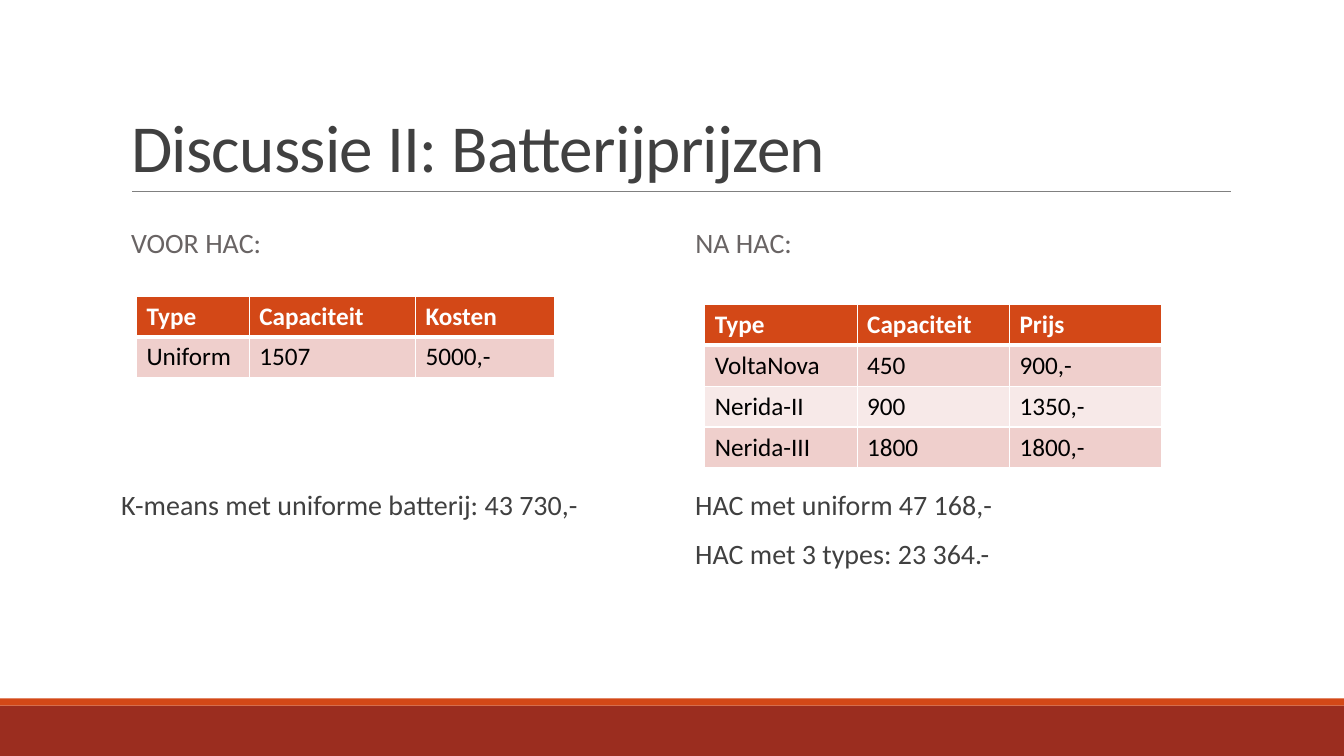
from dataclasses import dataclass

from lxml import etree
from pptx import Presentation
from pptx.dml.color import RGBColor
from pptx.enum import shapes, text
from pptx.oxml import parse_xml
from pptx.oxml.ns import nsdecls, qn
from pptx.util import Cm, Pt


@dataclass(frozen=True)
class Theme:
    font: str = "Calibri"
    title_size: float = 48
    body_size: float = 20
    table_size: float = 18
    dark: str = "404040"
    grey: str = "696464"
    rule: str = "808080"
    white: str = "FFFFFF"
    black: str = "000000"
    accent: str = "D34817"
    footer: str = "9B2D1F"
    bands: tuple[str, str] = ("EFCFCC", "F7E9E8")


@dataclass(frozen=True)
class Box:
    """Position and size in centimetres."""
    left: float
    top: float
    width: float
    height: float

    def lengths(self) -> tuple[Cm, Cm, Cm, Cm]:
        return Cm(self.left), Cm(self.top), Cm(self.width), Cm(self.height)


@dataclass(frozen=True)
class Column:
    """One side of the comparison: heading, price table and results."""
    left: float
    heading: str
    results: list[str]
    result_indent: float
    table_left: float
    table_top: float
    widths: list[float]
    row_height: float
    rows: list[list[str]]


THEME = Theme()
SLIDE_WIDTH, SLIDE_HEIGHT = 33.87, 19.05
COLUMN_WIDTH = 13.72
COLUMNS = [
    Column(3.05, "VOOR HAC:", ["K-means met uniforme batterij: 43 730,-"], 0,
           3.44, 7.46, [2.84, 4.19, 3.5], 1.03,
           [["Type", "Capaciteit", "Kosten"], ["Uniform", "1507", "5000,-"]]),
    Column(17.27, "NA HAC:",
           ["HAC met uniform 47 168,-", "HAC met 3 types: 23 364.-"], 0.25,
           17.76, 7.67, [3.84] * 3, 1.02,
           [["Type", "Capaciteit", "Prijs"],
            ["VoltaNova", "450", "900,-"],
            ["Nerida-II", "900", "1350,-"],
            ["Nerida-III", "1800", "1800,-"]]),
]


def write(paragraph, content: str, *, size: float, color: str, bold: bool = False,
          tracking: float = 0, line_spacing: float = 1, before: float = 0,
          after: float = 0, indent: float | None = None) -> None:
    """Put text in a paragraph; an indent (cm) also removes its bullet."""
    paragraph.alignment = text.PP_ALIGN.LEFT
    paragraph.line_spacing = line_spacing
    paragraph.space_before, paragraph.space_after = Pt(before), Pt(after)
    if indent is not None:
        properties = paragraph._p.get_or_add_pPr()
        properties.set("marL", str(Cm(indent)))
        properties.set("indent", "0")
        etree.SubElement(properties, qn("a:buNone"))
    run = paragraph.add_run()
    run.text = content
    run.font.name, run.font.size, run.font.bold = THEME.font, Pt(size), bold
    run.font.color.rgb = RGBColor.from_string(color)
    if tracking:
        run._r.get_or_add_rPr().set("spc", str(round(tracking * 100)))


def place(placeholder, box: Box, anchor: text.MSO_ANCHOR):
    """Move a placeholder and return its text frame."""
    placeholder.left, placeholder.top, placeholder.width, placeholder.height = box.lengths()
    frame = placeholder.text_frame
    frame.word_wrap = True
    frame.auto_size = text.MSO_AUTO_SIZE.NONE
    frame.vertical_anchor = anchor
    return frame


def write_body(frame, lines: list[str], color: str, indent: float) -> None:
    for number, line in enumerate(lines):
        paragraph = frame.add_paragraph() if number else frame.paragraphs[0]
        write(paragraph, line, size=THEME.body_size, color=color,
              line_spacing=0.9, before=12, after=2, indent=indent)


def add_bar(slide, box: Box, color: str) -> None:
    bar = slide.shapes.add_shape(shapes.MSO_SHAPE.RECTANGLE, *box.lengths())
    bar.shadow.inherit = False
    bar.fill.solid()
    bar.fill.fore_color.rgb = RGBColor.from_string(color)
    bar.line.fill.background()


def add_rule(slide, left: float, right: float, top: float) -> None:
    rule = slide.shapes.add_connector(shapes.MSO_CONNECTOR.STRAIGHT,
                                      Cm(left), Cm(top), Cm(right), Cm(top))
    rule.line.color.rgb = RGBColor.from_string(THEME.rule)
    rule.line.width = Pt(0.5)
    etree.SubElement(rule._element.spPr, qn("a:effectLst"))


def set_borders(cell, top: float, bottom: float) -> None:
    properties = cell._tc.get_or_add_tcPr()
    for side, width in (("L", 1), ("R", 1), ("T", top), ("B", bottom)):
        properties.append(parse_xml(
            f'<a:ln{side} {nsdecls("a")} w="{Pt(width)}"><a:solidFill>'
            f'<a:srgbClr val="{THEME.white}"/></a:solidFill></a:ln{side}>'))


def add_price_table(slide, column: Column) -> None:
    box = Box(column.table_left, column.table_top, sum(column.widths),
              column.row_height * len(column.rows))
    table = slide.shapes.add_table(len(column.rows), len(column.widths),
                                   *box.lengths()).table
    for table_column, width in zip(table.columns, column.widths):
        table_column.width = Cm(width)
    for row, values in enumerate(column.rows):
        header = row == 0
        fill = THEME.accent if header else THEME.bands[(row - 1) % 2]
        for index, value in enumerate(values):
            cell = table.cell(row, index)
            set_borders(cell, top=3 if row == 1 else 1, bottom=3 if header else 1)
            cell.fill.solid()
            cell.fill.fore_color.rgb = RGBColor.from_string(fill)
            write(cell.text_frame.paragraphs[0], value, size=THEME.table_size,
                  color=THEME.white if header else THEME.black, bold=header)


def fill_column(slide, column: Column, heading, results) -> None:
    heading_frame = place(heading, Box(column.left, 5.13, COLUMN_WIDTH, 2.05),
                          text.MSO_ANCHOR.MIDDLE)
    write_body(heading_frame, [column.heading], THEME.grey, 0)
    result_frame = place(results, Box(column.left, 7.17, COLUMN_WIDTH, 9.11),
                         text.MSO_ANCHOR.TOP)
    result_frame.margin_left = result_frame.margin_right = 0
    result_frame.margin_top = Cm(5.2)  # leaves room for the table
    write_body(result_frame, column.results, THEME.dark, column.result_indent)
    add_price_table(slide, column)


def main() -> None:
    presentation = Presentation()
    presentation.slide_width, presentation.slide_height = Cm(SLIDE_WIDTH), Cm(SLIDE_HEIGHT)
    comparison_layout = presentation.slide_layouts[4]
    slide = presentation.slides.add_slide(comparison_layout)

    add_bar(slide, Box(0, 17.78, SLIDE_WIDTH, 1.27), THEME.footer)
    add_bar(slide, Box(0, 17.6, SLIDE_WIDTH, 0.18), THEME.accent)
    add_rule(slide, 3.33, 31.01, 4.82)

    title, *bodies = slide.placeholders
    title_frame = place(title, Box(3.05, 0.79, 27.94, 4.04), text.MSO_ANCHOR.BOTTOM)
    write(title_frame.paragraphs[0], "Discussie II: Batterijprijzen",
          size=THEME.title_size, color=THEME.dark, tracking=-0.5, line_spacing=0.85)
    for column, heading, results in zip(COLUMNS, bodies[::2], bodies[1::2]):
        fill_column(slide, column, heading, results)

    presentation.save("out.pptx")


if __name__ == "__main__":
    main()
